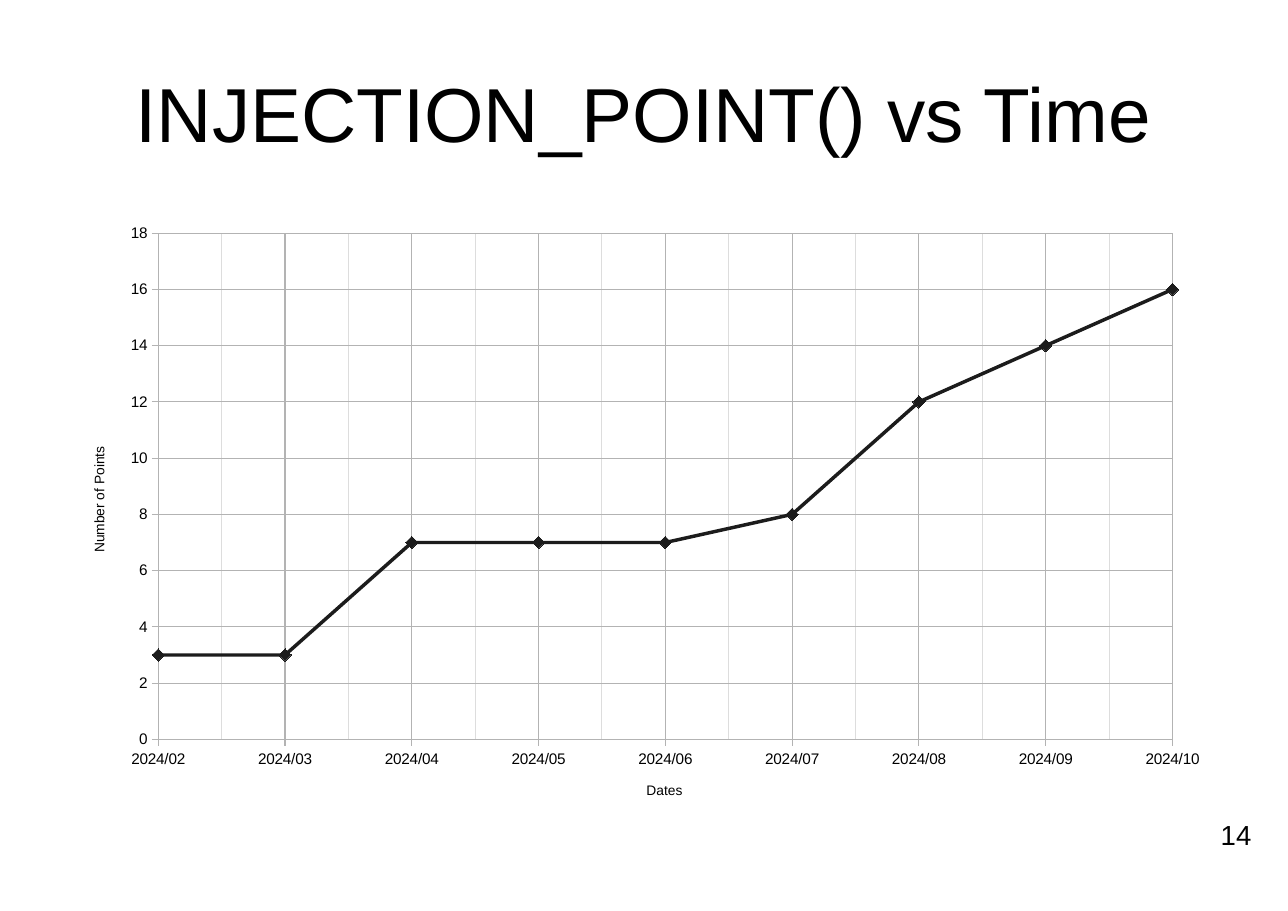
import pptx
import pptx.chart.data
import pptx.dml.color
import pptx.enum.chart
import pptx.enum.text
import pptx.oxml
import pptx.oxml.ns
import pptx.util

COLORS = {"text": "000000", "line": "1C1C1C", "grid": "B3B3B3",
          "minor": "DDDDDD", "background": "FFFFFF"}
POINTS = {"2024/02": 3, "2024/03": 3, "2024/04": 7, "2024/05": 7, "2024/06": 7,
          "2024/07": 8, "2024/08": 12, "2024/09": 14, "2024/10": 16}
ALIGN = pptx.enum.text.PP_ALIGN
ANCHOR = pptx.enum.text.MSO_ANCHOR
qn = pptx.oxml.ns.qn
NS = pptx.oxml.ns.nsdecls("c", "a")


def rgb(name):
    return pptx.dml.color.RGBColor.from_string(COLORS[name])


def set_layout(parent, index, x, y, w=None, h=None):
    """Place a chart part by shares of the chart's size."""
    old = parent.find(qn("c:layout"))
    if old is not None:
        parent.remove(old)
    target = '<c:layoutTarget val="inner"/>' if w else ""
    values = {"xMode": "edge", "yMode": "edge", "x": x, "y": y, "w": w, "h": h}
    parts = "".join(f'<c:{tag} val="{val}"/>' for tag, val in values.items() if val is not None)
    parent.insert(index, pptx.oxml.parse_xml(
        f'<c:layout {NS}><c:manualLayout>{target}{parts}</c:manualLayout></c:layout>'))


class Deck:
    FONT = "Arial"
    COLUMNS, ROWS = 20, 25

    def __init__(self, width, height):
        self.prs = pptx.Presentation()
        self.prs.slide_width = pptx.util.Inches(width)
        self.prs.slide_height = pptx.util.Inches(height)
        self.s = self.prs.slides.add_slide(self.prs.slide_layouts[6])
        self.s.background.fill.solid()
        self.s.background.fill.fore_color.rgb = rgb("background")

    def box(self, col, row, cols, rows):
        dx = self.prs.slide_width / self.COLUMNS
        dy = self.prs.slide_height / self.ROWS
        return [round(v) for v in (col * dx, row * dy, cols * dx, rows * dy)]

    def style(self, font, size):
        font.name, font.size = self.FONT, pptx.util.Pt(size)
        font.bold = False
        font.color.rgb = rgb("text")

    def text(self, text, place, size, align, anchor=ANCHOR.TOP, inset=(0.1, 0.05)):
        tf = self.s.shapes.add_textbox(*self.box(*place)).text_frame
        tf.word_wrap = True
        tf.vertical_anchor = anchor
        tf.margin_left = tf.margin_right = pptx.util.Inches(inset[0])
        tf.margin_top = tf.margin_bottom = pptx.util.Inches(inset[1])
        p = tf.paragraphs[0]
        p.text, p.alignment = text, align
        self.style(p.font, size)

    def axis(self, axis, title, x, y):
        axis.has_major_gridlines = True
        axis.major_tick_mark = pptx.enum.chart.XL_TICK_MARK.OUTSIDE
        axis.minor_tick_mark = pptx.enum.chart.XL_TICK_MARK.NONE
        for line in (axis.format.line, axis.major_gridlines.format.line):
            line.color.rgb = rgb("grid")
            line.width = pptx.util.Pt(0)
        self.style(axis.tick_labels.font, 10)
        p = axis.axis_title.text_frame.paragraphs[0]
        p.text = title
        self.style(p.font, 9)
        set_layout(axis.axis_title._element, 1, x, y)

    def line_chart(self, values, place, x_title, y_title):
        data = pptx.chart.data.CategoryChartData()
        data.categories = list(values)
        data.add_series("Series 1", list(values.values()))
        chart = self.s.shapes.add_chart(
            pptx.enum.chart.XL_CHART_TYPE.LINE_MARKERS, *self.box(*place), data).chart
        chart.has_legend = chart.has_title = False
        self.style(chart.font, 10)
        chart.plots[0].vary_by_categories = False

        # Axes and grid
        dates, counts = chart.category_axis, chart.value_axis
        self.axis(dates, x_title, 0.5, 0.93)
        self.axis(counts, y_title, 0.02, 0.38)
        dates.has_minor_gridlines = True
        dates._element.find(qn("c:minorGridlines")).append(pptx.oxml.parse_xml(
            f'<c:spPr {NS}><a:ln w="0"><a:solidFill><a:srgbClr val="{COLORS["minor"]}"/>'
            '</a:solidFill></a:ln></c:spPr>'))
        counts.minimum_scale, counts.maximum_scale, counts.major_unit = 0, 18, 2

        # First and last points sit on the plot's edges
        cross = counts._element.find(qn("c:crossBetween"))
        if cross is None:
            cross = pptx.oxml.parse_xml(f'<c:crossBetween {NS}/>')
            counts._element.find(qn("c:crosses")).addnext(cross)
        cross.set("val", "midCat")
        set_layout(chart._chartSpace.chart.plotArea, 0, 0.081, 0.034, 0.875, 0.831)

        # Series
        series = chart.plots[0].series[0]
        series.smooth = False
        series.format.line.color.rgb = rgb("line")
        series.format.line.width = pptx.util.Pt(2.27)
        marker = series.marker
        marker.style = pptx.enum.chart.XL_MARKER_STYLE.DIAMOND
        marker.size = 8
        marker.format.fill.solid()
        marker.format.fill.fore_color.rgb = rgb("line")
        marker.format.line.color.rgb = rgb("line")


def main():
    deck = Deck(11.69, 8.27)
    # Title
    deck.text("INJECTION_POINT() vs Time", (1, 1, 18, 4.17), 50,
              ALIGN.CENTER, ANCHOR.MIDDLE, (0, 0))
    # Chart
    deck.line_chart(POINTS, (1, 5.83, 18, 16.72), "Dates", "Number of Points")
    # Page number
    deck.text("14", (16.5, 22.3, 3.1, 1.87), 18, ALIGN.RIGHT)
    deck.prs.save("out.pptx")


if __name__ == "__main__":
    main()
